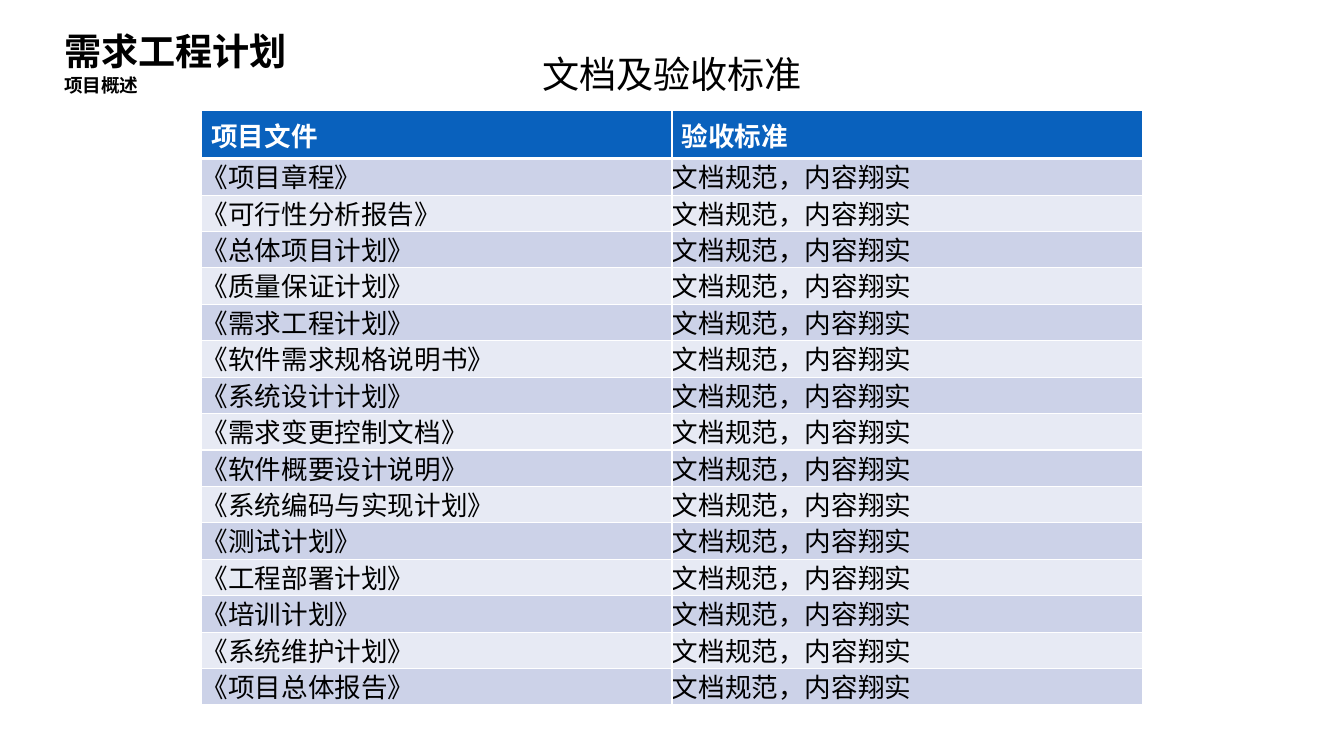
from lxml import etree
from pptx import Presentation
from pptx.dml.color import RGBColor
from pptx.enum.text import MSO_ANCHOR, MSO_AUTO_SIZE, PP_ALIGN
from pptx.oxml.ns import qn
from pptx.util import Inches, Pt

TOP, MIDDLE = MSO_ANCHOR.TOP, MSO_ANCHOR.MIDDLE
LEFT, CENTER = PP_ALIGN.LEFT, PP_ALIGN.CENTER
GROW = MSO_AUTO_SIZE.SHAPE_TO_FIT_TEXT

COLORS = {
    "text": "000000",
    "white": "FFFFFF",
    "header": "0961BD",
    "odd": "CCD2E8",
    "even": "E7EAF4",
}
CJK = "Noto Sans CJK SC"
MARGINS = ("margin_left", "margin_top", "margin_right", "margin_bottom")
NO_MARGINS = dict.fromkeys(MARGINS, 0)

HEADERS = ("项目文件", "验收标准")
CRITERION = "文档规范，内容翔实"
DOCUMENTS = (
    "项目章程", "可行性分析报告", "总体项目计划", "质量保证计划", "需求工程计划",
    "软件需求规格说明书", "系统设计计划", "需求变更控制文档", "软件概要设计说明",
    "系统编码与实现计划", "测试计划", "工程部署计划", "培训计划", "系统维护计划",
    "项目总体报告",
)


def set_values(target, values):
    for name, value in values.items():
        setattr(target, name, value)


class SlideBuilder:
    def __init__(self, slide):
        self.slide = slide

    def fill_text(self, frame, text, size, color="text", font=CJK, bold=False, layout=None):
        paragraph = frame.paragraphs[0]
        set_values(paragraph, layout or {})
        run = paragraph.add_run()
        run.text = text
        set_values(run.font, {"name": font, "size": Pt(size), "bold": bold})
        run.font.color.rgb = RGBColor.from_string(COLORS[color])
        etree.SubElement(run._r.get_or_add_rPr(), qn("a:ea"), typeface=CJK)

    def text(self, box, text, size, anchor=MIDDLE, **style):
        frame = self.slide.shapes.add_textbox(*map(Inches, box)).text_frame
        set_values(frame, {
            **NO_MARGINS, "word_wrap": True,
            "auto_size": GROW, "vertical_anchor": anchor,
        })
        self.fill_text(frame, text, size, **style)

    def borders(self, cell, widths):
        properties = cell._tc.get_or_add_tcPr()
        for side, width in widths.items():
            line = etree.SubElement(properties, qn(f"a:ln{side}"), w=str(Pt(width)))
            fill = etree.SubElement(line, qn("a:solidFill"))
            etree.SubElement(fill, qn("a:srgbClr"), val=COLORS["white"])

    def cell(self, cell, text, row):
        is_header = row == 0
        self.borders(cell, {
            "L": 1, "R": 1,
            "T": 3 if row == 1 else 1,
            "B": 3 if is_header else 1,
        })
        cell.fill.solid()
        band = "header" if is_header else "odd" if row % 2 else "even"
        cell.fill.fore_color.rgb = RGBColor.from_string(COLORS[band])
        if is_header:
            self.fill_text(cell.text_frame, text, 20, color="white", bold=True)
        else:
            set_values(cell, NO_MARGINS)
            self.fill_text(cell.text_frame, text, 20, layout={"line_spacing": 0.94})

    def table(self, box, rows, header_height):
        height = box[3]
        table = self.slide.shapes.add_table(
            len(rows), len(rows[0]), *map(Inches, box)).table
        body_height = (height - header_height) / (len(rows) - 1)
        for index, values in enumerate(rows):
            table.rows[index].height = Inches(body_height if index else header_height)
            for column, value in enumerate(values):
                self.cell(table.cell(index, column), value, index)


def main():
    presentation = Presentation()
    set_values(presentation, {"slide_width": Inches(14.06), "slide_height": Inches(7.91)})
    builder = SlideBuilder(presentation.slides.add_slide(presentation.slide_layouts[6]))

    heading = {"font": "Arial", "bold": True, "layout": {"alignment": LEFT}}
    builder.text((0.67, 0.29, 3.37, 0.47), "需求工程计划", 28, **heading)
    builder.text((0.67, 0.77, 3.52, 0.24), "项目概述", 14, **heading)

    rows = [HEADERS] + [(f"《{document}》", CRITERION) for document in DOCUMENTS]
    builder.table((2.11, 1.16, 9.84, 6.22), rows, header_height=0.5)

    builder.text((5.45, 0.44, 3.16, 0.56), "文档及验收标准", 28, anchor=TOP,
                 layout={"alignment": CENTER, "line_spacing": 1.2})
    presentation.save("out.pptx")


if __name__ == "__main__":
    main()
